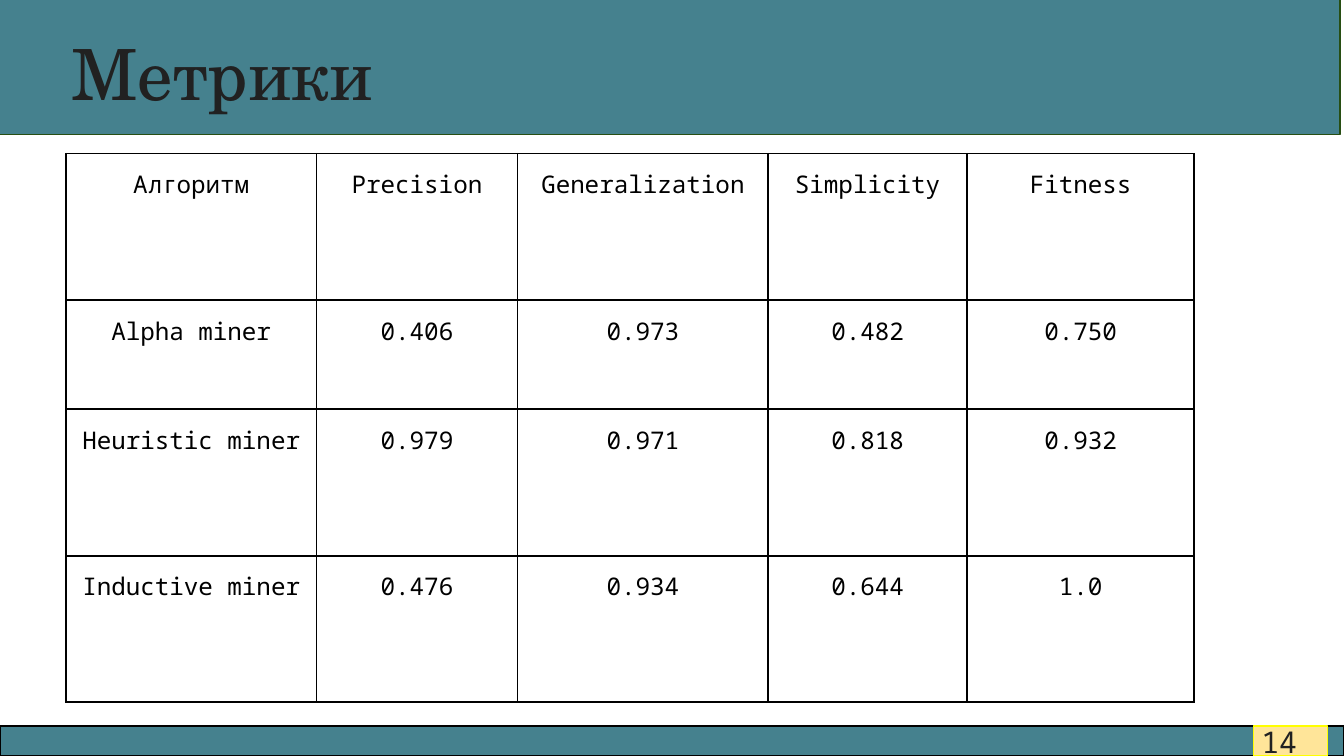
from lxml import etree
from pptx import Presentation
from pptx.dml.color import RGBColor
from pptx.enum.shapes import MSO_SHAPE
from pptx.enum.text import MSO_ANCHOR, PP_ALIGN
from pptx.oxml.ns import qn
from pptx.util import Pt

RECTANGLE = MSO_SHAPE.RECTANGLE
TOP, MIDDLE = MSO_ANCHOR.TOP, MSO_ANCHOR.MIDDLE
LEFT, CENTER, RIGHT = PP_ALIGN.LEFT, PP_ALIGN.CENTER, PP_ALIGN.RIGHT

COLORS = {
    "teal": "45818E",
    "green": "274E13",
    "cream": "FFE599",
    "yellow": "FFFF00",
    "ink": "212121",
    "black": "000000",
}
TITLE_FONT = "TeX Gyre Schola"
BODY_FONT = "Noto Sans Mono"

METRICS = [
    ["Алгоритм", "Precision", "Generalization", "Simplicity", "Fitness"],
    ["Alpha miner", "0.406", "0.973", "0.482", "0.750"],
    ["Heuristic miner", "0.979", "0.971", "0.818", "0.932"],
    ["Inductive miner", "0.476", "0.934", "0.644", "1.0"],
]
COLUMN_WIDTHS = [134.25, 107.75, 134.25, 106.5, 121.75]
ROW_HEIGHTS = [78.5, 58.5, 78.5, 78.5]


def color(name):
    return RGBColor.from_string(COLORS[name])


def write_text(frame, text, *, size, font=BODY_FONT, ink="ink", align=LEFT,
               spacing=None, gap=None):
    para = frame.paragraphs[0]
    para.alignment = align
    para.line_spacing = spacing
    if gap is not None:
        para.space_before = para.space_after = Pt(gap)
    span = para.add_run()
    span.text = text
    span.font.name = font
    span.font.size = Pt(size)
    span.font.color.rgb = color(ink)


def add_band(page, box, fill, line):
    band = page.shapes.add_shape(RECTANGLE, *map(Pt, box))
    band.shadow.inherit = False
    band.fill.solid()
    band.fill.fore_color.rgb = color(fill)
    band.line.color.rgb = color(line)
    band.line.width = Pt(0.75)


def add_label(page, box, text, *, anchor=TOP, **style):
    frame = page.shapes.add_textbox(*map(Pt, box)).text_frame
    frame.word_wrap = True
    frame.vertical_anchor = anchor
    frame.margin_left = frame.margin_right = Pt(7.2)
    frame.margin_top = frame.margin_bottom = Pt(7.2)
    write_text(frame, text, **style)


def add_header(page, box):
    left, top, width, height = box
    add_band(page, box, "teal", "green")
    add_label(page, (left + 33, top + 9.4, 671, height - 9.4), "Метрики",
              size=37.8, font=TITLE_FONT)


def add_footer(page, box):
    left, top, width, height = box
    add_band(page, box, "teal", "black")
    add_band(page, (left + 671.5, top, 39.6, height), "cream", "yellow")
    add_label(page, (left + 658.8, top - 7.2, 43.2, 31), "14",
              anchor=MIDDLE, size=16, align=RIGHT)


def add_borders(cell):
    properties = cell._tc.get_or_add_tcPr()
    for side in ("lnL", "lnR", "lnT", "lnB"):
        edge = etree.SubElement(properties, qn(f"a:{side}"), w=str(Pt(1)))
        fill = etree.SubElement(edge, qn("a:solidFill"))
        etree.SubElement(fill, qn("a:srgbClr"), val=COLORS["black"])


def add_metrics(page, box):
    table = page.shapes.add_table(
        len(METRICS), len(METRICS[0]), *map(Pt, box)).table
    table.first_row = table.horz_banding = False
    for column, width in zip(table.columns, COLUMN_WIDTHS):
        column.width = Pt(width)
    for row, height, values in zip(table.rows, ROW_HEIGHTS, METRICS):
        row.height = Pt(height)
        for cell, value in zip(row.cells, values):
            cell.margin_left = cell.margin_right = Pt(5)
            cell.margin_top = cell.margin_bottom = Pt(5)
            add_borders(cell)
            cell.fill.background()
            write_text(cell.text_frame, value, size=13, ink="black",
                       align=CENTER, spacing=1.15, gap=12)


def main():
    deck = Presentation()
    deck.slide_width, deck.slide_height = Pt(720), Pt(405)
    page = deck.slides.add_slide(deck.slide_layouts[6])
    add_footer(page, (0, 389, 720, 16))
    add_header(page, (-2, -0.75, 720, 72.75))
    add_metrics(page, (35.25, 82.25, sum(COLUMN_WIDTHS), sum(ROW_HEIGHTS)))
    deck.save("out.pptx")


if __name__ == "__main__":
    main()
